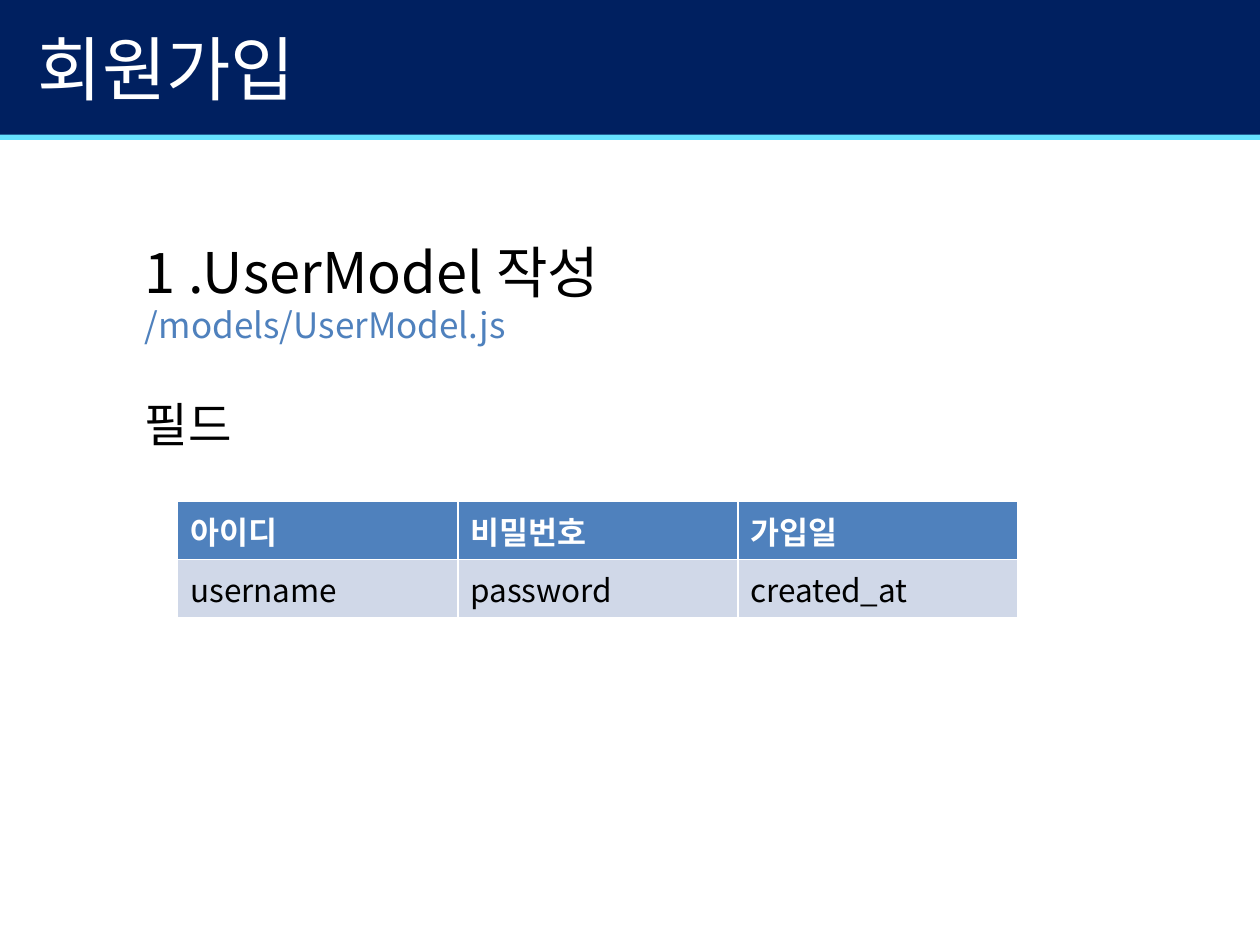
from dataclasses import dataclass

from lxml.etree import SubElement
from pptx import Presentation
from pptx.dml.color import RGBColor as Color
from pptx.enum.shapes import MSO_SHAPE as Shape
from pptx.enum.text import MSO_ANCHOR as Anchor, PP_ALIGN as Align
from pptx.oxml.ns import qn
from pptx.util import Inches, Pt

TITLE = "회원가입"
BODY = [
    {"text": "1 .UserModel 작성", "size": "heading", "color": "text", "before": 4},
    {"text": "/models/UserModel.js", "size": "file", "color": "accent", "before": 4},
    {"text": "필드", "size": "label", "color": "text", "before": 35},
]
FIELDS = [
    ["아이디", "비밀번호", "가입일"],
    ["username", "password", "created_at"],
]
BARS = [
    {"top": 0, "height": 1.07, "color": "band"},
    {"top": 1.06, "height": 0.05, "color": "stripe"},
]


@dataclass(frozen=True)
class Theme:
    font = "Noto Sans CJK KR"
    sizes = {"title": 40, "heading": 32, "file": 20, "label": 27, "cell": 18}
    colors = {
        "band": "002060",
        "stripe": "65E2FF",
        "white": "FFFFFF",
        "text": "000000",
        "accent": "4F81BD",
        "row": "D0D8E8",
    }

    def color(self, name):
        return Color.from_string(self.colors[name])


THEME = Theme()


def style(para, size, color, bold=False):
    for span in para.runs:
        font = span.font
        font.name = THEME.font
        font.size = Pt(THEME.sizes[size])
        font.bold = bold
        font.color.rgb = THEME.color(color)
        east_asian = SubElement(span._r.get_or_add_rPr(), qn("a:ea"))
        east_asian.set("typeface", THEME.font)


def place(box, left, top, width, height):
    box.left, box.top = Inches(left), Inches(top)
    box.width, box.height = Inches(width), Inches(height)


def add_bars(page):
    for bar in BARS:
        box = page.shapes.add_shape(
            Shape.RECTANGLE, Inches(-0.01), Inches(bar["top"]),
            Inches(10.01), Inches(bar["height"]),
        )
        box.shadow.inherit = False
        box.fill.solid()
        box.fill.fore_color.rgb = THEME.color(bar["color"])
        box.line.fill.background()
        page.shapes._spTree.insert(2, box._element)


def add_title(page):
    box = page.shapes.title
    place(box, 0.2, -0.09, 9, 1.25)
    box.text_frame.text = TITLE
    box.text_frame.vertical_anchor = Anchor.MIDDLE
    para = box.text_frame.paragraphs[0]
    para.alignment = Align.LEFT
    style(para, "title", "white")


def add_body(page):
    box = page.placeholders[1]
    place(box, 1.05, 1.94, 7.9, 4.41)
    frame = box.text_frame
    frame.text = "\n".join(item["text"] for item in BODY)
    for para, item in zip(frame.paragraphs, BODY):
        para.space_before = Pt(item["before"])
        para.line_spacing = 0.8
        properties = para._p.get_or_add_pPr()
        properties.set("marL", str(Inches(0.38)))
        properties.set("indent", str(Inches(-0.38)))
        SubElement(properties, qn("a:buNone"))
        style(para, item["size"], item["color"])


def add_fields(page):
    table = page.shapes.add_table(
        len(FIELDS), len(FIELDS[0]),
        Inches(1.41), Inches(3.98), Inches(6.67), Inches(0.81),
    ).table
    for row, values in enumerate(FIELDS):
        header = row == 0
        for column, value in enumerate(values):
            cell = table.cell(row, column)
            cell.text = value
            cell.fill.solid()
            cell.fill.fore_color.rgb = THEME.color("accent" if header else "row")
            style(cell.text_frame.paragraphs[0], "cell",
                  "white" if header else "text", bold=header)


def main():
    deck = Presentation()
    deck.slide_width, deck.slide_height = Inches(10), Inches(7.5)
    page = deck.slides.add_slide(deck.slide_layouts[1])
    add_bars(page)
    add_title(page)
    add_body(page)
    add_fields(page)
    deck.save("out.pptx")


if __name__ == "__main__":
    main()
